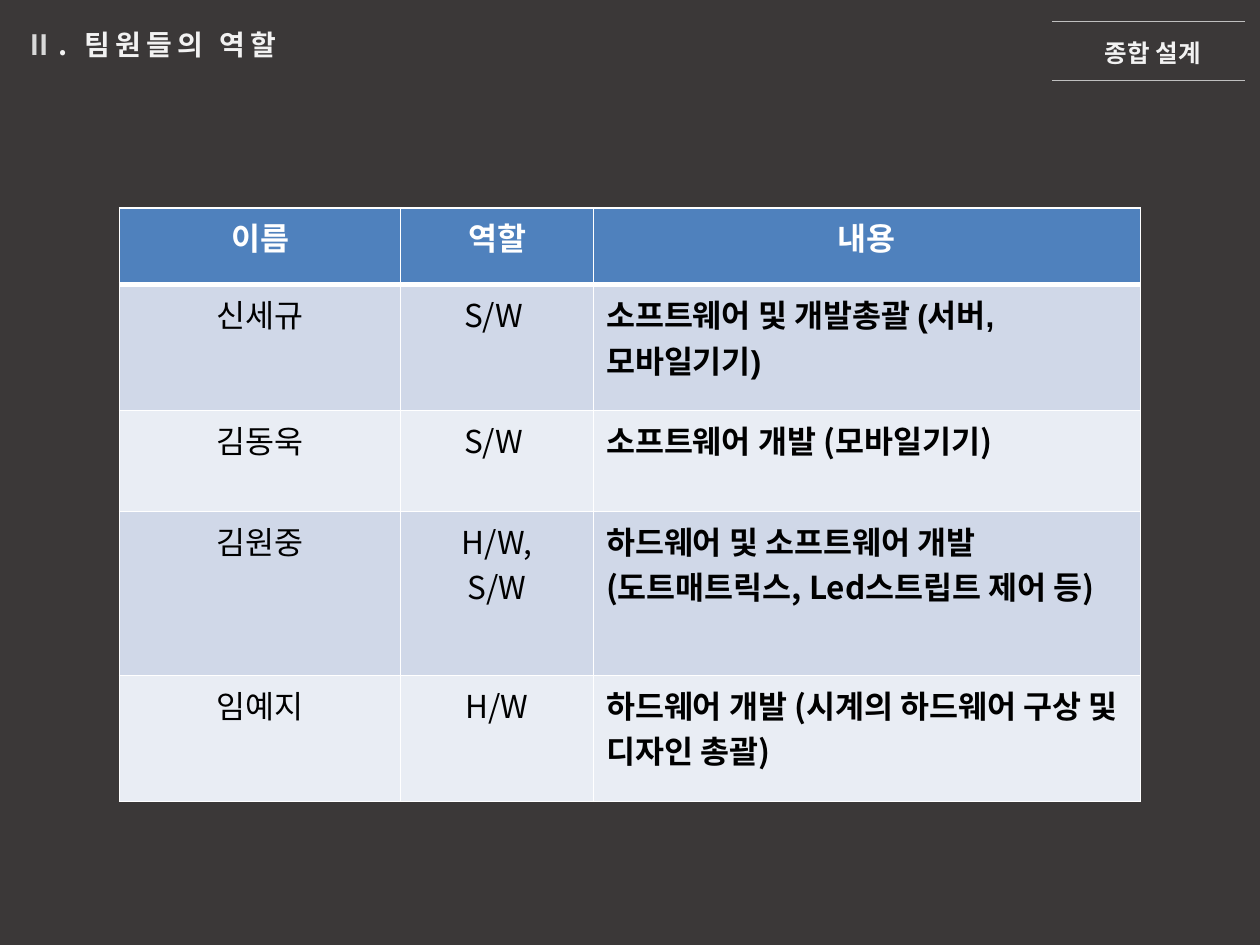
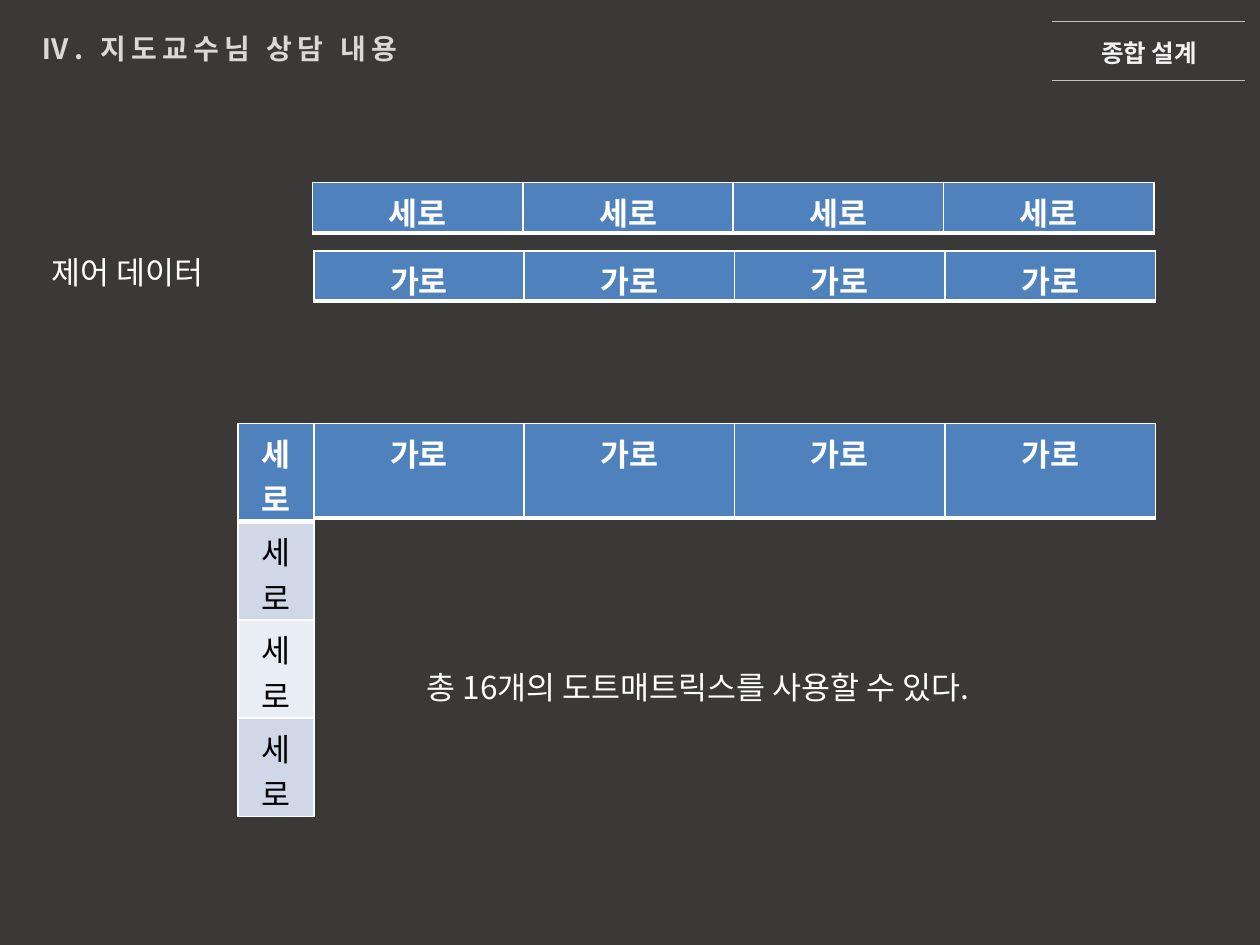
import pptx
import pptx.util
import pptx.dml.color
import pptx.enum.shapes
import pptx.enum.text
import pptx.oxml
import pptx.oxml.ns

Inches = pptx.util.Inches
Pt = pptx.util.Pt
ALIGN = pptx.enum.text.PP_ALIGN

FONT = "Noto Sans CJK KR"
BACKGROUND = "3B3838"
WHITE = "FFFFFF"
BLACK = "000000"
LIGHT = "F2F2F2"
MUTED = "D9D9D9"
RULE = "BFBFBF"
HEADER_FILL = "4F81BD"
BAND_FILLS = ["E9EDF4", "D0D8E8"]


def paint(color_format, color):
    color_format.rgb = pptx.dml.color.RGBColor.from_string(color)


def format_run(run, size, color, bold=False, latin=FONT, spacing=0):
    run.font.size = Pt(size)
    run.font.bold = bold
    run.font.name = latin
    paint(run.font.color, color)
    properties = run.font._element
    east_asian = pptx.oxml.parse_xml(
        f'<a:ea {pptx.oxml.ns.nsdecls("a")} typeface="{FONT}"/>')
    properties.find(pptx.oxml.ns.qn("a:latin")).addnext(east_asian)
    if spacing:
        properties.set("spc", str(spacing * 100))


def format_text(frame, size, color, align=ALIGN.LEFT, **style):
    for paragraph in frame.paragraphs:
        paragraph.alignment = align
        for run in paragraph.runs:
            format_run(run, size, color, **style)


def place(shape, left, top, width, height):
    shape.left, shape.top = Inches(left), Inches(top)
    shape.width, shape.height = Inches(width), Inches(height)


def add_title(slide, box, parts):
    title = slide.shapes.title
    place(title, *box)
    frame = title.text_frame
    frame.auto_size = pptx.enum.text.MSO_AUTO_SIZE.NONE
    frame.vertical_anchor = pptx.enum.text.MSO_ANCHOR.TOP
    frame.word_wrap = True
    paragraph = frame.paragraphs[0]
    paragraph.alignment = ALIGN.LEFT
    for text, color in parts:
        run = paragraph.add_run()
        run.text = text
        format_run(run, 16, color, bold=True, spacing=3)


def add_text(shapes, text, box, size, color, wrap=True, **style):
    textbox = shapes.add_textbox(*map(Inches, box))
    frame = textbox.text_frame
    frame.word_wrap = wrap
    frame.text = text
    format_text(frame, size, color, **style)


def add_course_label(slide, left):
    label = slide.shapes.add_group_shape().shapes
    add_text(label, "종합 설계", (left, 0.25, 1.03, 0.34), 14, LIGHT,
             wrap=False, align=ALIGN.RIGHT, bold=True)
    for y in (0.17, 0.64):
        rule = label.add_connector(pptx.enum.shapes.MSO_CONNECTOR.STRAIGHT,
                                   Inches(8.35), Inches(y), Inches(9.88), Inches(y))
        rule.line.width = Pt(0.75)
        paint(rule.line.color, RULE)
        rule._element.spPr.append(pptx.oxml.parse_xml(
            f'<a:effectLst {pptx.oxml.ns.nsdecls("a")}/>'))


def set_borders(cell, row):
    widths = {"L": 1, "R": 1, "T": 3 if row == 1 else 1, "B": 3 if row == 0 else 1}
    properties = cell._tc.get_or_add_tcPr()
    for side, width in widths.items():
        properties.append(pptx.oxml.parse_xml(
            f'<a:ln{side} {pptx.oxml.ns.nsdecls("a")} w="{Pt(width)}"><a:solidFill>'
            f'<a:srgbClr val="{WHITE}"/></a:solidFill></a:ln{side}>'))


def add_grid(slide, left, top, column_widths, row_heights, contents):
    grid = slide.shapes.add_table(
        len(row_heights), len(column_widths), Inches(left), Inches(top),
        Inches(sum(column_widths)), Inches(sum(row_heights))).table
    for column, width in zip(grid.columns, column_widths):
        column.width = Inches(width)
    for row, (height, texts) in enumerate(zip(row_heights, contents)):
        grid.rows[row].height = Inches(height)
        for column, text in enumerate(texts):
            cell = grid.cell(row, column)
            is_header = row == 0
            is_description = not is_header and column == 2
            cell.margin_bottom = 0
            set_borders(cell, row)
            cell.fill.solid()
            paint(cell.fill.fore_color, HEADER_FILL if is_header else BAND_FILLS[row % 2])
            cell.text_frame.text = text
            format_text(cell.text_frame, 18, WHITE if is_header else BLACK,
                        align=ALIGN.LEFT if is_description else ALIGN.CENTER,
                        bold=is_header or is_description)
    return grid


def build_roles(slide):
    add_title(slide, (0.1, 0.17, 2.36, 0.37), [("Ⅱ", MUTED), (". 팀원들의 역할", LIGHT)])
    add_course_label(slide, 8.6)
    roles = [
        ("이름", "역할", "내용"),
        ("신세규", "S/W ", "소프트웨어 및 개발총괄 (서버, 모바일기기)"),
        ("김동욱", "S/W ", "소프트웨어 개발 (모바일기기)"),
        ("김원중", "H/W,\nS/W",
         "하드웨어 및 소프트웨어 개발\n(도트매트릭스, Led스트립트 제어 등)"),
        ("임예지", "H/W", "하드웨어 개발 (시계의 하드웨어 구상 및 디자인 총괄)"),
    ]
    grid = add_grid(slide, 0.95, 1.65, [2.23, 1.53, 4.34], [0.61, 1, 0.8, 1.3, 1], roles)
    lead_description = grid.cell(1, 2).text_frame
    lead_description.paragraphs[0].runs[0].font.name = "Arial"


def build_consultation(slide):
    add_title(slide, (0.23, 0.2, 3.28, 0.37), [("Ⅳ. 지도교수님 상담 내용", MUTED)])
    add_course_label(slide, 8.57)
    matrix_columns = [1.67] * 4
    for text, left, top, height in (("가로", 2.49, 1.99, 0.4),
                                    ("세로", 2.48, 1.45, 0.4),
                                    ("가로", 2.49, 3.36, 0.75)):
        add_grid(slide, left, top, matrix_columns, [height], [[text] * 4])
    add_grid(slide, 1.89, 3.36, [0.6], [0.78] * 4, [["세로"]] * 4)
    add_text(slide.shapes, "제어 데이터", (0.31, 1.96, 1.68, 0.4), 18, WHITE)
    add_text(slide.shapes, "총 16개의 도트매트릭스를 사용할 수 있다.",
             (3.29, 5.25, 5.04, 0.4), 18, WHITE)


def main():
    deck = pptx.Presentation()
    deck.slide_width, deck.slide_height = Inches(10), Inches(7.5)
    background = deck.slide_master.background.fill
    background.solid()
    paint(background.fore_color, BACKGROUND)
    title_only = deck.slide_layouts[5]
    for build in (build_roles, build_consultation):
        build(deck.slides.add_slide(title_only))
    deck.save("out.pptx")


if __name__ == "__main__":
    main()
